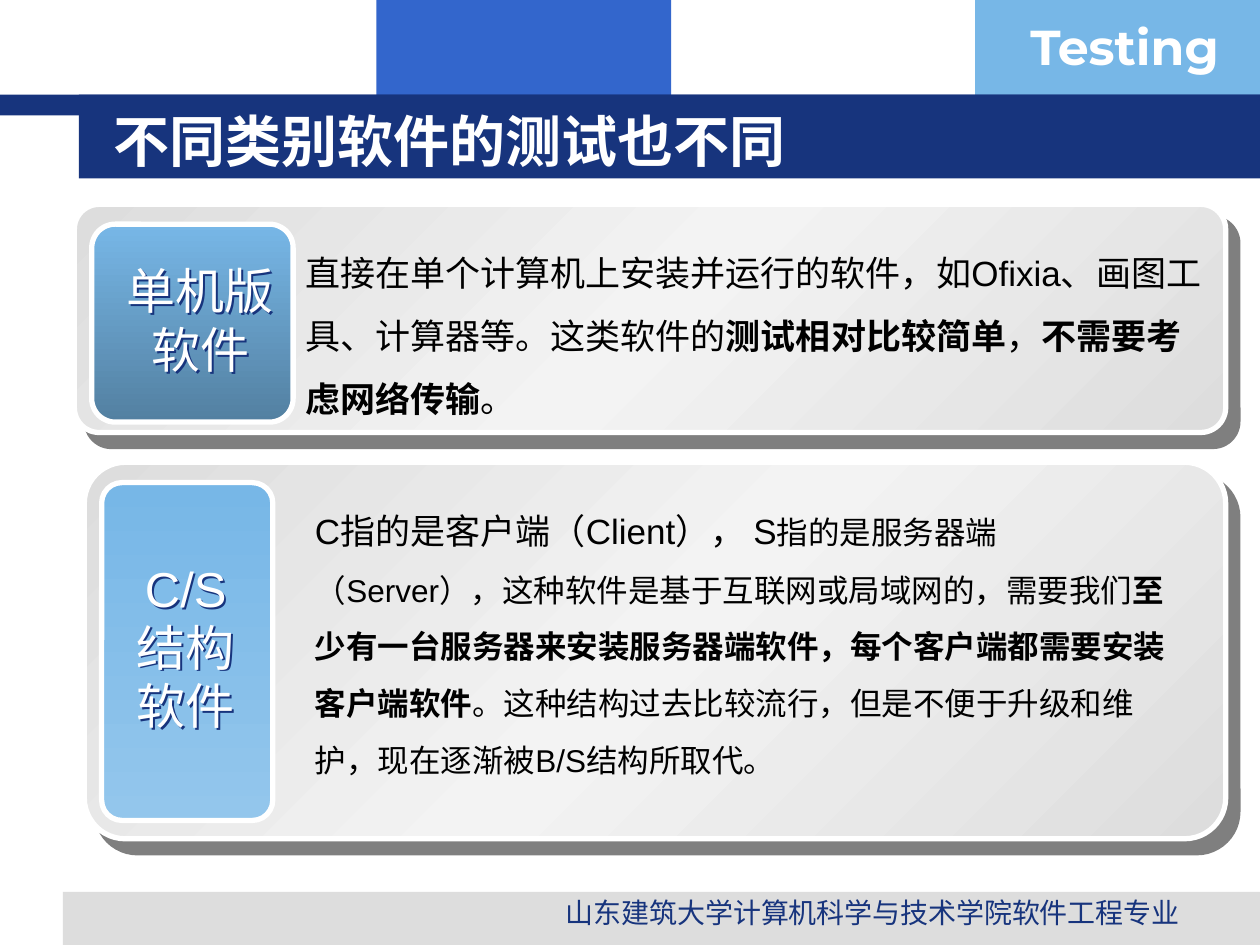
from dataclasses import dataclass

from lxml.etree import SubElement
from pptx import Presentation
from pptx.dml.color import RGBColor
from pptx.enum.shapes import MSO_SHAPE as Shape
from pptx.enum.text import MSO_ANCHOR as Anchor, MSO_AUTO_SIZE as AutoSize, PP_ALIGN as Align
from pptx.oxml.ns import qn
from pptx.util import Cm, Pt


@dataclass(frozen=True)
class Theme:
    navy: str = "17347D"
    blue: str = "3366CC"
    sky: str = "77B7E7"
    pale_sky: str = "93C6EC"
    steel: str = "5380A1"
    grey: str = "DDDDDD"
    light: str = "F3F3F3"
    white: str = "FFFFFF"
    black: str = "000000"
    font: str = "Arial"
    title_font: str = "DejaVu Sans"
    brand_font: str = "Montserrat"
    title: int = 32
    label: int = 28
    body: int = 20
    small: int = 18
    footer: int = 16


T = Theme()


def box_cm(box):
    return [Cm(v) for v in box]


def add_rect(s, box, color):
    sp = s.shapes.add_shape(Shape.RECTANGLE, *box_cm(box))
    sp.shadow.inherit = False
    sp.fill.solid()
    sp.fill.fore_color.rgb = RGBColor.from_string(color)
    sp.line.fill.background()


def set_gradient(sp, colors, angle):
    """Spread the colours evenly along a clockwise angle."""
    sp.fill.gradient()
    sp.fill.gradient_angle = 360 - angle
    stops = sp.element.spPr.find(".//" + qn("a:gsLst"))
    for stop in list(stops):
        stops.remove(stop)
    for i, color in enumerate(colors):
        pos = 100000 * i // (len(colors) - 1)
        stop = SubElement(stops, qn("a:gs"), pos=str(pos))
        SubElement(stop, qn("a:srgbClr"), val=color)


def set_shadow(sp, color, distance, angle, opacity=100):
    sp.shadow.inherit = False
    effects = sp.element.spPr.find(qn("a:effectLst"))
    shadow = SubElement(effects, qn("a:outerShdw"), blurRad="0", dist=str(Pt(distance)),
                        dir=str(angle * 60000), algn="ctr", rotWithShape="0")
    clr = SubElement(shadow, qn("a:srgbClr"), val=color)
    SubElement(clr, qn("a:alpha"), val=str(opacity * 1000))


def add_rounded(s, box, radius, colors, angle):
    sp = s.shapes.add_shape(Shape.ROUNDED_RECTANGLE, *box_cm(box))
    sp.shadow.inherit = False
    sp.adjustments[0] = radius
    set_gradient(sp, colors, angle)
    sp.line.color.rgb = RGBColor.from_string(T.white)
    sp.line.width = Pt(3)
    return sp


def add_run(p, text, size, color, name=T.font, bold=False):
    r = p.add_run()
    r.text = text
    for key, value in dict(size=Pt(size), name=name, bold=bold).items():
        setattr(r.font, key, value)
    r.font.color.rgb = RGBColor.from_string(color)


def add_text(s, box, paragraphs, align=Align.LEFT, spacing=None,
             auto_size=AutoSize.SHAPE_TO_FIT_TEXT):
    """Each paragraph is a list of runs, each run a dict for add_run."""
    sp = s.shapes.add_textbox(*box_cm(box))
    tf = sp.text_frame
    for key, value in dict(word_wrap=True, auto_size=auto_size).items():
        setattr(tf, key, value)
    for i, runs in enumerate(paragraphs):
        p = tf.add_paragraph() if i else tf.paragraphs[0]
        p.alignment = align
        if spacing:
            p.line_spacing = spacing
        # Keep punctuation inside the right margin
        p._p.get_or_add_pPr().set("hangingPunct", "0")
        for run in runs:
            add_run(p, **run)
    return sp


def add_frame(s):
    # Header blocks, title bar and footer strip
    for box, color in [
        ((7.59, 0, 5.94, 2.34), T.blue),
        ((19.66, 0, 5.74, 2.34), T.sky),
        ((1.27, 17.98, 24.13, 1.07), T.grey),
        ((0, 1.91, 25.4, 0.42), T.navy),
        ((1.59, 1.91, 23.81, 1.69), T.navy),
    ]:
        add_rect(s, box, color)
    add_text(s, (20.52, 0.2, 4.9, 1.45),
             [[dict(text="Testing", size=T.label, color=T.white, name=T.brand_font, bold=True)]])
    add_text(s, (10.3, 17.93, 14.6, 0.79),
             [[dict(text="山东建筑大学计算机科学与技术学院软件工程专业", size=T.footer, color=T.navy)]],
             align=Align.CENTER, auto_size=AutoSize.NONE)


def set_title(s, text):
    sp = s.shapes.title
    s.shapes.element.append(sp.element)  # in front of the title bar
    sp.left, sp.top, sp.width, sp.height = box_cm((2.03, 2.03, 21.67, 1.57))
    tf = sp.text_frame
    for key, value in dict(vertical_anchor=Anchor.MIDDLE, word_wrap=True,
                           auto_size=AutoSize.NONE).items():
        setattr(tf, key, value)
    p = tf.paragraphs[0]
    p.alignment = Align.LEFT
    add_run(p, text, T.title, T.white, T.title_font, True)


def add_card(s, panel, tile, tile_colors, label, lines, body, runs):
    sp = add_rounded(s, panel, 0.109, (T.grey, T.light, T.grey), 45)
    set_shadow(sp, T.black, 10.6, 49, 50)
    add_rounded(s, tile, 0.119, tile_colors, 90)
    sp = add_text(s, label, [[dict(text=line, size=T.label, color=T.white)] for line in lines],
                  align=Align.CENTER)
    set_shadow(sp, T.navy, 1.5, 45)
    add_text(s, body, [[dict(text=text, size=size, color=T.black, bold=bold)
                        for text, size, bold in runs]], spacing=1.5)


def main():
    prs = Presentation()
    prs.slide_width, prs.slide_height = Cm(25.4), Cm(19.05)
    s = prs.slides.add_slide(prs.slide_layouts[5])
    add_frame(s)
    set_title(s, "不同类别软件的测试也不同")

    # Stand-alone software
    add_card(
        s, panel=(1.5, 4.12, 23.21, 4.6), tile=(1.85, 4.52, 4.06, 3.99),
        tile_colors=(T.sky, T.steel),
        label=(2.11, 5.13, 3.86, 2.64), lines=("单机版", "软件"),
        body=(5.9, 4.52, 18.59, 4.06),
        runs=[
            ("直接在单个计算机上安装并运行的软件，如Ofixia、画图工具、计算器等。这类软件的", T.body, False),
            ("测试相对比较简单", T.body, True),
            ("，", T.body, False),
            ("不需要考虑网络传输", T.body, True),
            ("。", T.body, False),
        ])

    # Client/server software
    add_card(
        s, panel=(1.7, 9.32, 23.01, 7.59), tile=(2.05, 9.73, 3.45, 6.81),
        tile_colors=(T.sky, T.pale_sky),
        label=(2.02, 11.13, 3.45, 3.81), lines=("C/S", "结构", "软件"),
        body=(6.1, 9.73, 18.01, 6.1),
        runs=[
            ("C指的是客户端（Client）， S", T.body, False),
            ("指的是服务器端（Server），这种软件是基于互联网或局域网的，需要我们", T.small, False),
            ("至少有一台服务器来安装服务器端软件，每个客户端都需要安装客户端软件", T.small, True),
            ("。这种结构过去比较流行，但是不便于升级和维护，现在逐渐被B/S结构所取代。", T.small, False),
        ])
    prs.save("out.pptx")


if __name__ == "__main__":
    main()
